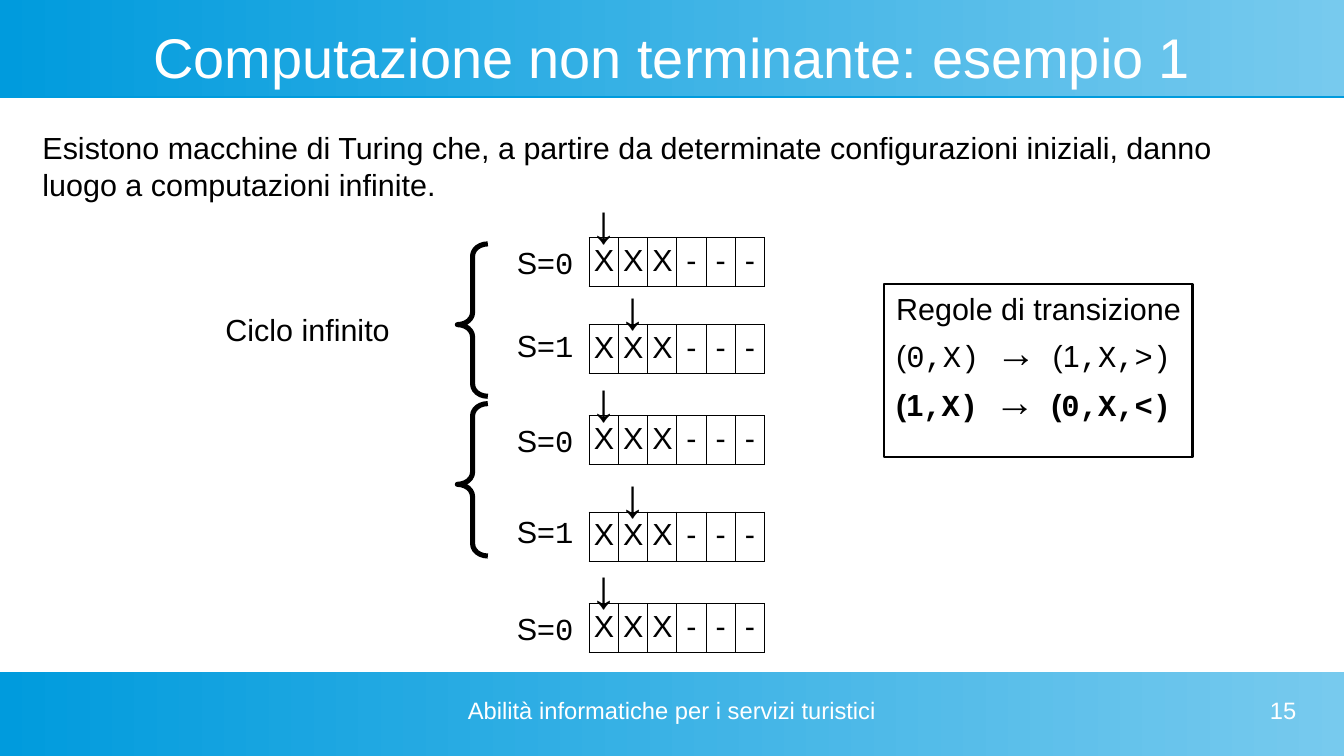
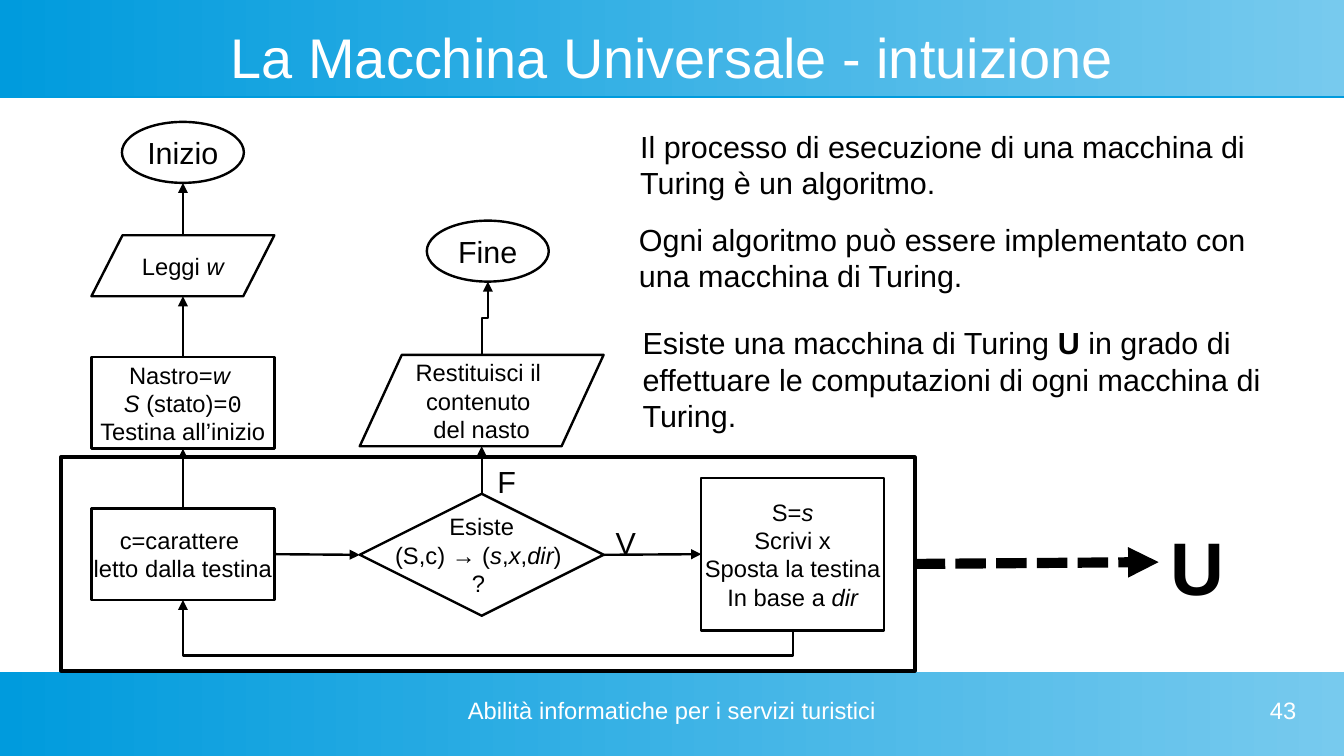
from dataclasses import dataclass

from lxml import etree
from pptx import Presentation
from pptx.dml.color import RGBColor
from pptx.enum.dml import MSO_LINE
from pptx.enum.shapes import MSO_CONNECTOR, MSO_SHAPE
from pptx.enum.text import MSO_ANCHOR, PP_ALIGN
from pptx.oxml.ns import qn
from pptx.util import Inches, Pt

LEFT, CENTER, RIGHT = PP_ALIGN.LEFT, PP_ALIGN.CENTER, PP_ALIGN.RIGHT
TOP, MIDDLE = MSO_ANCHOR.TOP, MSO_ANCHOR.MIDDLE
RECT, OVAL, DIAMOND = MSO_SHAPE.RECTANGLE, MSO_SHAPE.OVAL, MSO_SHAPE.DIAMOND
SLANTED, BRACE = MSO_SHAPE.PARALLELOGRAM, MSO_SHAPE.LEFT_BRACE
STRAIGHT, ELBOW = MSO_CONNECTOR.STRAIGHT, MSO_CONNECTOR.ELBOW
SIDE_TOP, SIDE_LEFT, SIDE_BOTTOM, SIDE_RIGHT = range(4)


@dataclass(frozen=True)
class Theme:
    ink: str = "000000"
    light: str = "FFFFFF"
    band_start: str = "009BDD"
    band_end: str = "77CAEE"
    sans: str = "Arial"
    mono: str = "Courier New"
    title: float = 33
    body: float = 18
    small: float = 14
    rule_arrow: float = 24
    head_arrow: float = 32
    machine: float = 44
    outline: float = 1.42
    brace: float = 3
    frame: float = 2.3
    dashes: float = 6
    cell_border: float = 0.57


THEME = Theme()
PAGE_WIDTH, PAGE_HEIGHT = 11.02, 6.2
BANDS = [(0, 0.79), (5.51, 0.69)]
FOOTER = "Abilità informatiche per i servizi turistici"
INSETS, NO_INSETS = (0.1, 0.05), (0, 0)

# A paragraph is a string or a list of spans; a span is a string or (text, flags):
# b bold, i italic, m monospaced, a large arrow.
INFINITE_TEXT = ("Esistono macchine di Turing che, a partire da determinate "
                 "configurazioni iniziali, danno luogo a computazioni infinite.")
TAPE = ["X", "X", "X", "-", "-", "-"]
TAPE_LEFT, CELL_WIDTH, CELL_HEIGHT = 4.83, 0.24, 0.38
# state, tape top, label top
STEPS = [(0, 1.95, 1.95), (1, 2.66, 2.63), (0, 3.41, 3.41),
         (1, 4.2, 4.16), (0, 4.95, 4.95)]
BRACE_TOPS = [2, 3.31]
RULES = [
    "Regole di transizione",
    ["(", ("0,X)", "m"), (" → ", "ma"), "(1", (",X,>)", "m")],
    [("(1", "b"), (",X)", "bm"), (" → ", "bma"), ("(", "b"), ("0,X,<)", "bm")],
]

# name: preset, position, size, text size, paragraphs, adjustments
FLOW = {
    "start": (OVAL, (1, 1, 1, 0.5), THEME.body, ["Inizio"], ()),
    "read": (SLANTED, (0.75, 1.93, 1.5, 0.5), THEME.small,
             [["Leggi ", ("w", "i")]], (0.51,)),
    "setup": (RECT, (0.75, 2.93, 1.5, 0.75), THEME.small,
              [["Nastro=", ("w ", "i")],
               [("S ", "i"), "(stato)=", ("0", "m")],
               "Testina all’inizio"], ()),
    "symbol": (RECT, (0.75, 4.17, 1.5, 0.75), THEME.small,
               ["c=carattere ", "letto dalla testina"], ()),
    "test": (DIAMOND, (2.95, 4.05, 2, 1), THEME.small,
             ["Esiste",
              ["(S,c) → (", ("s", "i"), ",", ("x", "i"), ",", ("dir", "i"), ") "],
              "? "], ()),
    "action": (RECT, (5.75, 3.92, 1.5, 1.25), THEME.small,
               [["S=", ("s", "i")], "Scrivi x", "Sposta la testina",
                ["In base a ", ("dir", "i")]], ()),
    "result": (SLANTED, (2.95, 2.91, 2, 0.75), THEME.small,
               ["Restituisci il ", "contenuto ", "del nasto"], (0.46,)),
    "end": (OVAL, (3.5, 1.81, 1, 0.5), THEME.body, ["Fine"], ()),
}
FLOW_ARROWS = [
    ("symbol", SIDE_TOP, "setup", SIDE_BOTTOM),
    ("setup", SIDE_TOP, "read", SIDE_BOTTOM),
    ("read", SIDE_TOP, "start", SIDE_BOTTOM),
    ("symbol", SIDE_RIGHT, "test", SIDE_LEFT),
    ("test", SIDE_RIGHT, "action", SIDE_LEFT),
    ("test", SIDE_TOP, "result", SIDE_BOTTOM),
]
# flow step, side, flow step, side, bend as a share of the height
BENT_ARROWS = [
    ("action", SIDE_BOTTOM, "symbol", SIDE_BOTTOM, -0.83),
    ("result", SIDE_TOP, "end", SIDE_BOTTOM, 0.5),
]
JOINABLE = {"setup", "symbol", "test", "action"}
BRANCH_LABELS = [("V", 4.95, 4.25), ("F", 3.98, 3.75)]
CLAIMS = [
    ((5.15, 1, 5.35, 1),
     "Il processo di esecuzione di una macchina di Turing è un algoritmo."),
    ((5.14, 1.76, 5.35, 0.74),
     "Ogni algoritmo può essere implementato con una macchina di Turing."),
    ((5.17, 2.61, 5.35, 0.94),
     ["Esiste una macchina di Turing ", ("U", "b"),
      " in grado di effettuare le computazioni di ogni macchina di Turing."]),
]


def rgb(value):
    return RGBColor.from_string(value)


def inches(values):
    return [Inches(value) for value in values]


def write(frame, paragraphs, size=THEME.body, color=THEME.ink, align=LEFT,
          anchor=TOP, insets=INSETS, wrap=True):
    across, down = inches(insets)
    settings = {"margin_left": across, "margin_right": across, "margin_top": down,
                "margin_bottom": down, "vertical_anchor": anchor, "word_wrap": wrap}
    for name, value in settings.items():
        setattr(frame, name, value)
    for index, spans in enumerate(paragraphs):
        para = frame.paragraphs[0] if index == 0 else frame.add_paragraph()
        para.alignment = align
        for span in [spans] if isinstance(spans, str) else spans:
            text, flags = (span, "") if isinstance(span, str) else span
            run = para.add_run()
            run.text = text
            font = {"name": THEME.mono if "m" in flags else THEME.sans,
                    "size": Pt(THEME.rule_arrow if "a" in flags else size),
                    "bold": "b" in flags, "italic": "i" in flags}
            for name, value in font.items():
                setattr(run.font, name, value)
            run.font.color.rgb = rgb(color)


def add_text(page, place, paragraphs, **options):
    box = page.shapes.add_textbox(*inches(place))
    write(box.text_frame, paragraphs, **options)


def add_outline(page, preset, place, width=THEME.outline, adjustments=()):
    shape = page.shapes.add_shape(preset, *inches(place))
    for index, value in enumerate(adjustments):
        shape.adjustments[index] = value
    shape.fill.background()
    shape.line.color.rgb = rgb(THEME.ink)
    shape.line.width = Pt(width)
    shape.shadow.inherit = False
    return shape


def add_band(page, top, height):
    band = page.shapes.add_shape(RECT, *inches((0, top, PAGE_WIDTH, height)))
    band.fill.gradient()
    band.fill.gradient_angle = 0
    for stop, color in zip(band.fill.gradient_stops,
                           (THEME.band_start, THEME.band_end)):
        stop.color.rgb = rgb(color)
    band.line.fill.background()
    band.shadow.inherit = False
    effects = band._element.spPr.find(qn("a:effectLst"))
    shadow = etree.SubElement(effects, qn("a:outerShdw"), dist=str(Pt(0.9)),
                              dir="5400000", algn="ctr", rotWithShape="0")
    etree.SubElement(shadow, qn("a:srgbClr"), val=THEME.band_start)


def add_page(deck, title, number):
    page = deck.slides.add_slide(deck.slide_layouts[6])
    for top, height in BANDS:
        add_band(page, top, height)
    add_text(page, (0.39, 0.2, 10.24, 0.52), [title], size=THEME.title,
             color=THEME.light, align=CENTER, anchor=MIDDLE, insets=NO_INSETS)
    for place, text, align in [((3.74, 5.71, 3.54, 0.39), FOOTER, CENTER),
                               ((8.07, 5.71, 2.56, 0.39), str(number), RIGHT)]:
        add_text(page, place, [text], size=THEME.small, color=THEME.light,
                 align=align, insets=NO_INSETS)
    return page


def add_arrow(page, kind, begin, end, width=THEME.outline, dash=None):
    arrow = page.shapes.add_connector(kind, *begin, *end)
    arrow.line.color.rgb = rgb(THEME.ink)
    arrow.line.width = Pt(width)
    if dash:
        arrow.line.dash_style = dash
    etree.SubElement(arrow.line._ln, qn("a:tailEnd"), type="triangle")
    etree.SubElement(arrow._element.spPr, qn("a:effectLst"))
    return arrow


def side_middle(shape, side):
    across, down = {SIDE_TOP: (1, 0), SIDE_LEFT: (0, 1),
                    SIDE_BOTTOM: (1, 2), SIDE_RIGHT: (2, 1)}[side]
    return (shape.left + shape.width * across // 2,
            shape.top + shape.height * down // 2)


def add_flow_arrow(page, steps, source, source_side, target, target_side, bend=None):
    begin = side_middle(steps[source], source_side)
    end = side_middle(steps[target], target_side)
    arrow = add_arrow(page, STRAIGHT if bend is None else ELBOW, begin, end)
    if source in JOINABLE:
        arrow.begin_connect(steps[source], source_side)
    if target in JOINABLE:
        arrow.end_connect(steps[target], target_side)
    if bend is not None:
        turn_upward(arrow, begin, end, bend)


def turn_upward(arrow, begin, end, bend):
    """Turn an elbow so that it leaves and arrives vertically."""
    length, breadth = abs(end[1] - begin[1]), abs(end[0] - begin[0])
    arrow.left = (begin[0] + end[0] - length) // 2
    arrow.top = (begin[1] + end[1] - breadth) // 2
    arrow.width, arrow.height = length, breadth
    frame = arrow._element.spPr.find(qn("a:xfrm"))
    frame.set("rot", "16200000")
    frame.set("flipH", "0")
    frame.set("flipV", "1" if end[0] < begin[0] else "0")
    guides = arrow._element.spPr.find(qn("a:prstGeom")).find(qn("a:avLst"))
    etree.SubElement(guides, qn("a:gd"), name="adj1",
                     fmla=f"val {round(bend * 100000)}")


def add_tape(page, top):
    place = (TAPE_LEFT, top, CELL_WIDTH * len(TAPE), CELL_HEIGHT)
    table = page.shapes.add_table(1, len(TAPE), *inches(place)).table
    table.first_row = table.horz_banding = False
    for column, symbol in enumerate(TAPE):
        table.columns[column].width = Inches(CELL_WIDTH)
        cell = table.cell(0, column)
        cell.margin_left = cell.margin_right = Inches(0.04)
        cell.margin_top = cell.margin_bottom = Inches(0.05)
        properties = cell._tc.get_or_add_tcPr()
        for edge in "LRTB":
            border = etree.SubElement(properties, qn(f"a:ln{edge}"),
                                      w=str(Pt(THEME.cell_border)))
            fill = etree.SubElement(border, qn("a:solidFill"))
            etree.SubElement(fill, qn("a:srgbClr"), val=THEME.ink)
        cell.fill.background()
        para = cell.text_frame.paragraphs[0]
        para.alignment = CENTER
        run = para.add_run()
        run.text = symbol
        run.font.name, run.font.size = THEME.sans, Pt(THEME.body)
        run.font.color.rgb = rgb(THEME.ink)


def build_infinite_loop(deck):
    page = add_page(deck, "Computazione non terminante: esempio 1", 15)
    add_text(page, (0.25, 1.01, 10, 0.94), [INFINITE_TEXT])
    for state, tape_top, label_top in STEPS:
        add_tape(page, tape_top)
        head_left = TAPE_LEFT - 0.09 + state * CELL_WIDTH
        add_text(page, (head_left, tape_top - 0.45, 0.5, 0.6), ["↓"],
                 size=THEME.head_arrow)
        add_text(page, (4.14, label_top, 0.97, 0.4), [["S=", (str(state), "m")]])
    for top in BRACE_TOPS:
        add_outline(page, BRACE, (3.75, top, 0.25, 1.25), THEME.brace, (0.4, 0.53))
    add_text(page, (1.75, 2.5, 1.75, 0.5), ["Ciclo infinito"])
    rules = add_outline(page, RECT, (7.25, 2.33, 2.53, 1.42))
    write(rules.text_frame, RULES, wrap=False)


def build_universal_machine(deck):
    page = add_page(deck, "La Macchina Universale - intuizione", 43)
    steps = {}
    for name, (preset, place, size, paragraphs, adjustments) in FLOW.items():
        steps[name] = add_outline(page, preset, place, adjustments=adjustments)
        write(steps[name].text_frame, paragraphs, size=size, align=CENTER,
              anchor=MIDDLE, wrap=False)
    for link in FLOW_ARROWS + BENT_ARROWS:
        add_flow_arrow(page, steps, *link)
    for label, left, top in BRANCH_LABELS:
        add_text(page, (left, top, 0.36, 0.38), [label], wrap=False)
    for place, claim in CLAIMS:
        add_text(page, place, [claim])
    frame = add_outline(page, RECT, (0.5, 3.75, 7, 1.75), THEME.frame)
    add_text(page, (9.5, 4.22, 0.75, 0.78), [[("U", "b")]], size=THEME.machine)
    arrow = add_arrow(page, STRAIGHT, side_middle(frame, SIDE_RIGHT),
                      inches((9.5, 4.61)), THEME.dashes, MSO_LINE.SQUARE_DOT)
    arrow.begin_connect(frame, SIDE_RIGHT)


def main():
    deck = Presentation()
    deck.slide_width, deck.slide_height = inches((PAGE_WIDTH, PAGE_HEIGHT))
    build_infinite_loop(deck)
    build_universal_machine(deck)
    deck.save("out.pptx")


if __name__ == "__main__":
    main()
